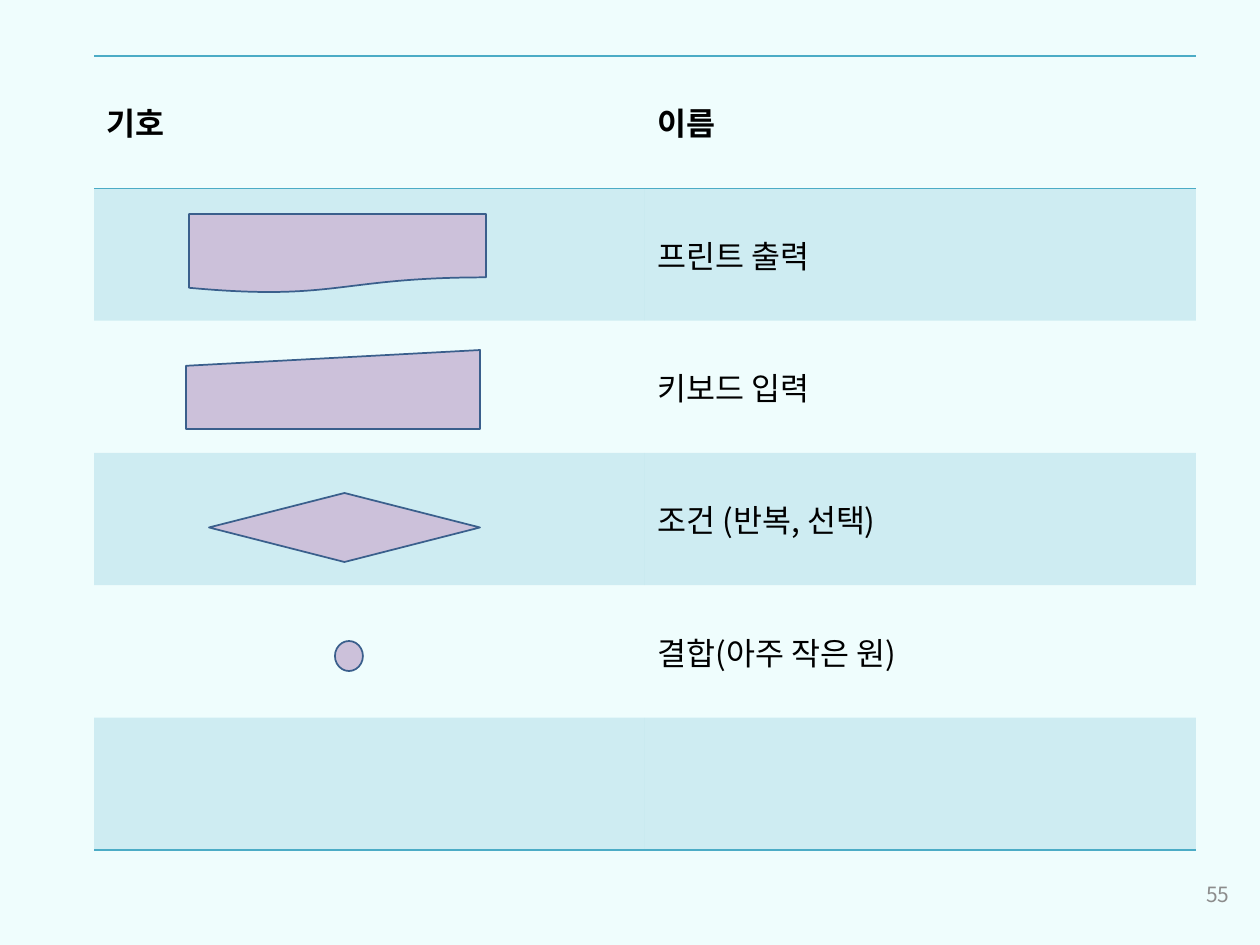
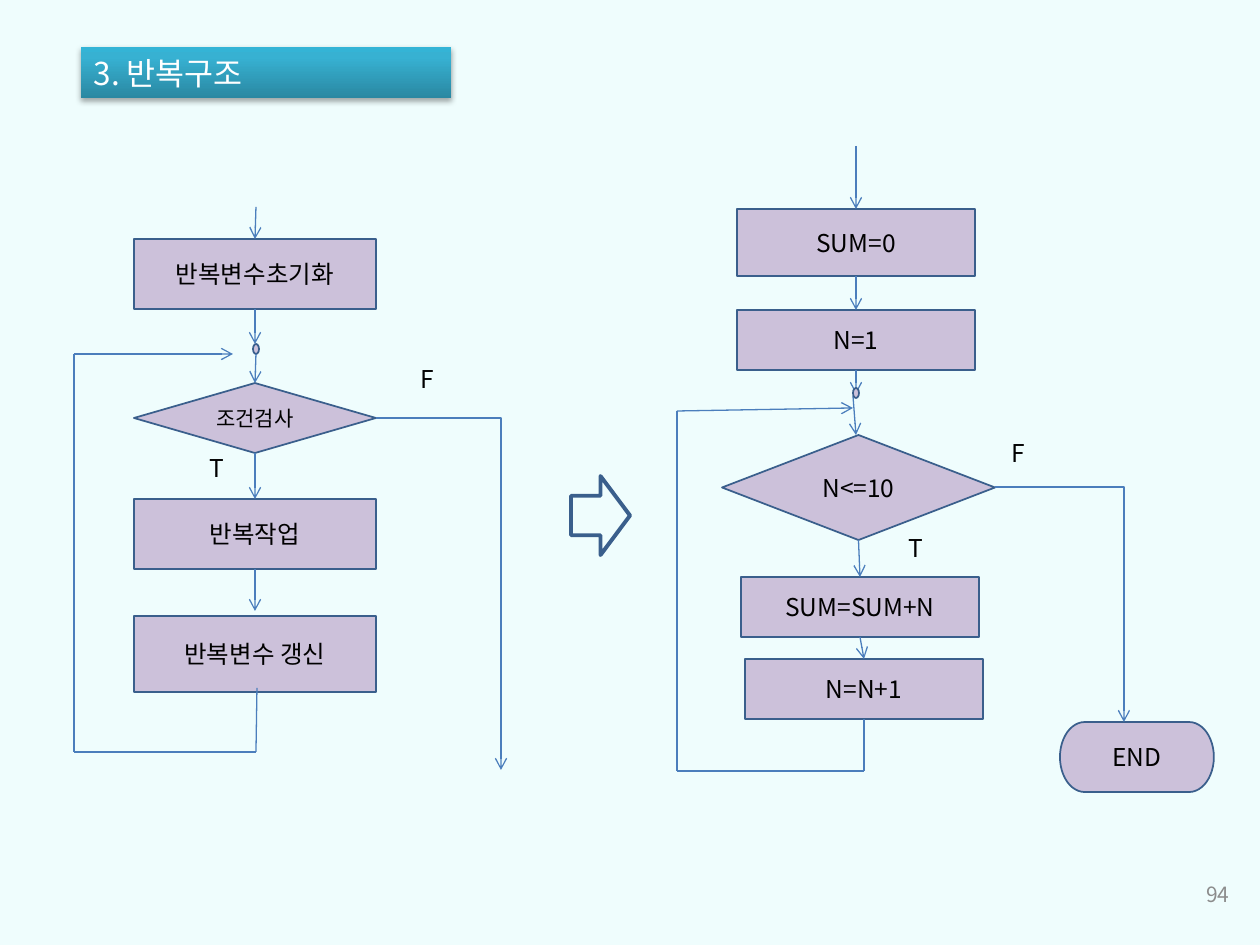
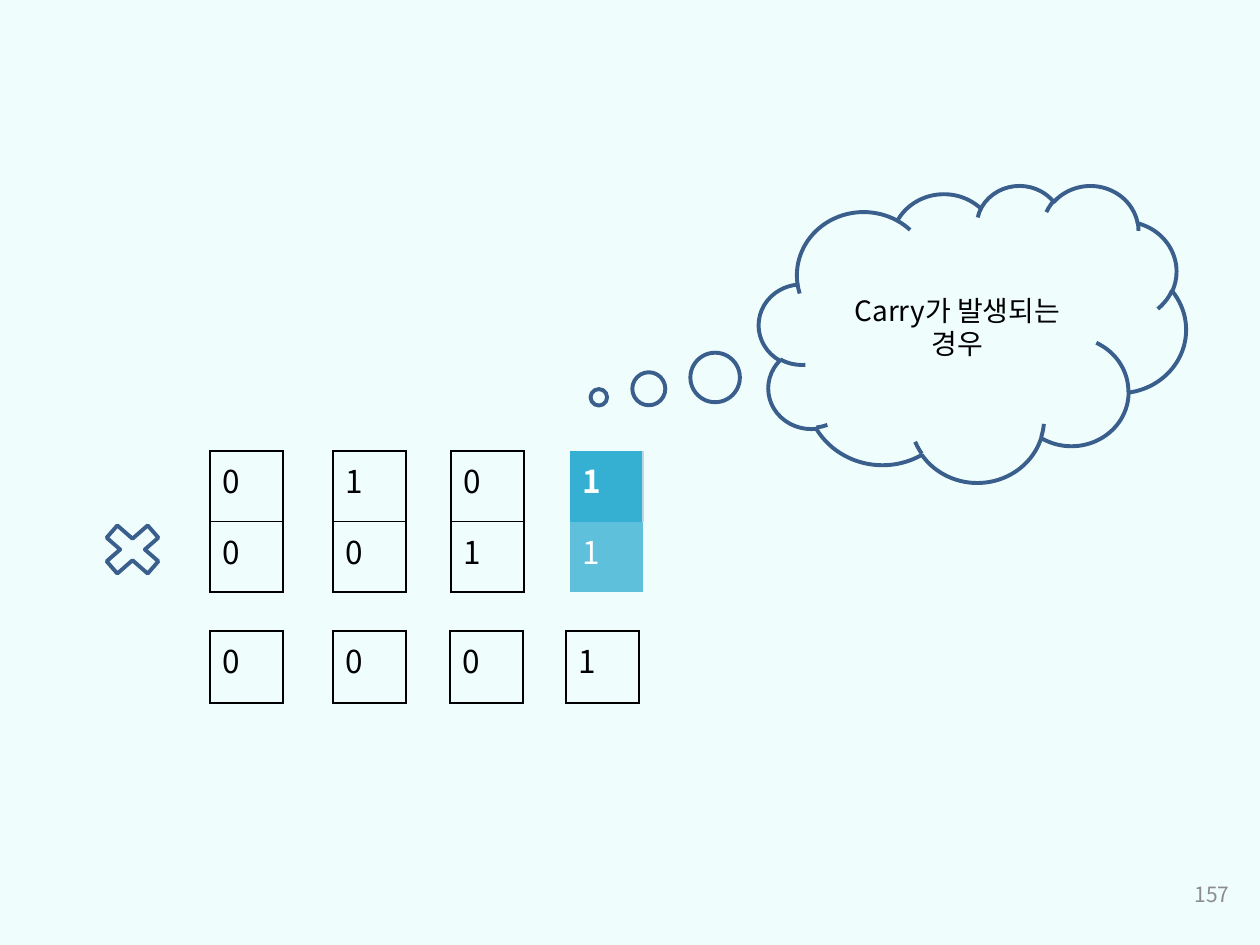
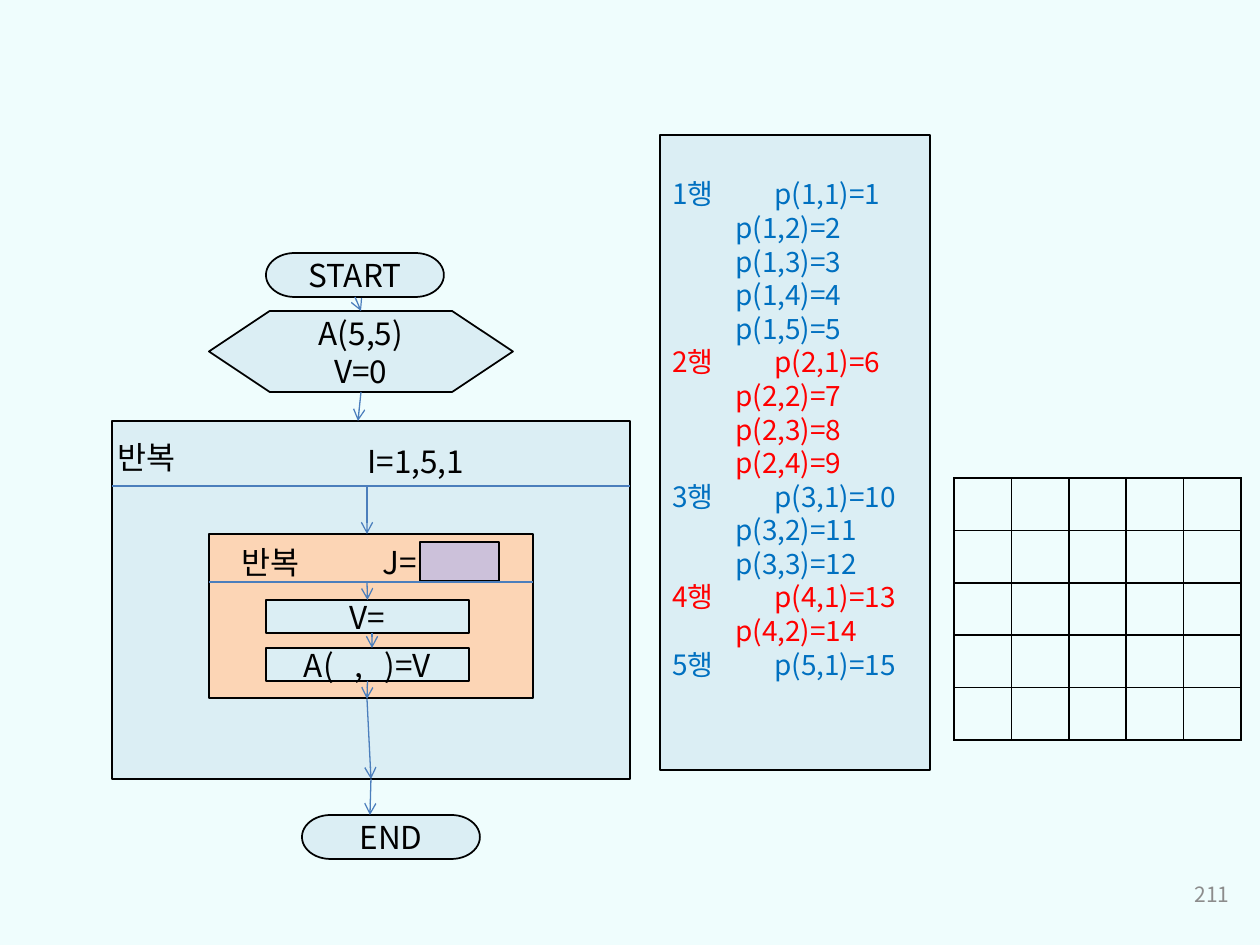
from dataclasses import dataclass, field

from lxml import etree
from pptx import Presentation
from pptx.dml.color import RGBColor
from pptx.enum.shapes import MSO_CONNECTOR, MSO_SHAPE
from pptx.enum.text import MSO_ANCHOR, MSO_AUTO_SIZE, PP_ALIGN
from pptx.oxml import parse_xml
from pptx.oxml.ns import nsdecls, qn
from pptx.util import Pt

STRAIGHT, ELBOW = MSO_CONNECTOR.STRAIGHT, MSO_CONNECTOR.ELBOW
RECT, PROCESS = MSO_SHAPE.RECTANGLE, MSO_SHAPE.FLOWCHART_PROCESS
DECISION, JOINT = MSO_SHAPE.FLOWCHART_DECISION, MSO_SHAPE.FLOWCHART_CONNECTOR
TERMINATOR = MSO_SHAPE.FLOWCHART_TERMINATOR
PREPARATION = MSO_SHAPE.FLOWCHART_PREPARATION
DOCUMENT = MSO_SHAPE.FLOWCHART_DOCUMENT
MANUAL_INPUT = MSO_SHAPE.FLOWCHART_MANUAL_INPUT
CLOUD, TIMES = MSO_SHAPE.CLOUD_CALLOUT, MSO_SHAPE.MATH_MULTIPLY
RIGHT_ARROW = MSO_SHAPE.RIGHT_ARROW
LEFT, CENTER, RIGHT = PP_ALIGN.LEFT, PP_ALIGN.CENTER, PP_ALIGN.RIGHT
TOP_ANCHOR, MIDDLE = MSO_ANCHOR.TOP, MSO_ANCHOR.MIDDLE
FIXED_SIZE = MSO_AUTO_SIZE.NONE
TOP, BOTTOM = 0, 2
TITLE_ONLY, BLANK = 5, 6
PLAIN_TABLE = "{2D5ABB26-0587-4C30-8999-92F81FD0307C}"


@dataclass(frozen=True)
class Theme:
    font: str = "Noto Sans CJK KR"
    background: str = "E3FDFD"
    background_alpha: int = 57
    ink: str = "000000"
    white: str = "FFFFFF"
    number: str = "8C8C8C"
    lilac: str = "CCC1DA"
    outline: str = "3A5F8C"
    flow: str = "4B7EBC"
    teal: str = "4BACC6"
    band_alpha: int = 20
    sky: str = "DBEEF4"
    peach: str = "FCD5B5"
    blue: str = "0070C0"
    red: str = "FF0000"
    carry: str = "36B0D2"
    carry_light: str = "5FC0DB"
    carry_edge: str = "BCD7E1"
    title_stops: tuple = ((0, "2A88A2"), (80, "37B1D2"), (100, "34B4D6"))
    large: int = 18
    medium: int = 16
    normal: int = 14
    small: int = 12
    line_height: float = 1.2
    thin: float = 0.75
    regular: float = 1
    thick: float = 2.25


THEME = Theme()


def px(length):
    return round(length * 914400 / 126)


def rgb(color):
    return RGBColor.from_string(color)


def fade(parent, percent):
    """Make the solid fill held by an element partly transparent."""
    color = parent.find(qn("a:solidFill") + "/" + qn("a:srgbClr"))
    etree.SubElement(color, qn("a:alpha"), val=str(percent * 1000))


# ---- text ----
def add_span(para, text, size, color=THEME.ink, bold=False, spacing=0):
    span = para.add_run()
    span.text = text
    span.font.size = Pt(size)
    span.font.bold = bold
    span.font.color.rgb = rgb(color)
    span.font.name = THEME.font
    props = span.font._element
    etree.SubElement(props, qn("a:ea"), typeface=THEME.font)
    if spacing:
        props.set("spc", str(spacing * 100))


def paragraphs(frame, count):
    """Return the first paragraph and as many new ones as needed."""
    return [frame.paragraphs[0]] + [frame.add_paragraph() for _ in range(count - 1)]


def write_text(frame, lines, size, color=THEME.ink, align=LEFT, bold=False):
    frame.word_wrap = True
    for para, line in zip(paragraphs(frame, len(lines)), lines):
        para.alignment = align
        if len(lines) > 1:
            para.line_spacing = Pt(size * THEME.line_height)
        add_span(para, line, size, color, bold)


# ---- tables ----
def style_cell(cell, fill=None, alpha=None, sides="", edge=THEME.ink,
               width=THEME.regular):
    props = cell._tc.get_or_add_tcPr()
    for side in sides:
        line = etree.SubElement(props, qn(f"a:ln{side}"), w=str(Pt(width)))
        paint = etree.SubElement(line, qn("a:solidFill"))
        etree.SubElement(paint, qn("a:srgbClr"), val=edge)
    if fill is None:
        cell.fill.background()
        return
    cell.fill.solid()
    cell.fill.fore_color.rgb = rgb(fill)
    if alpha:
        fade(props, alpha)


@dataclass
class Region:
    """Part of a page whose children are placed relative to its corner."""
    page: object
    left: int
    top: int
    nodes: dict = field(default_factory=dict)

    def spot(self, x, y):
        return px(self.left + x), px(self.top + y)

    def shape(self, kind, box, lines=(), size=THEME.normal, fill=THEME.lilac,
              edge=THEME.outline, width=THEME.regular):
        x, y, w, h = box
        shape = self.page.shapes.add_shape(kind, *self.spot(x, y), px(w), px(h))
        shape.shadow.inherit = False
        if fill:
            shape.fill.solid()
            shape.fill.fore_color.rgb = rgb(fill)
        else:
            shape.fill.background()
        shape.line.color.rgb = rgb(edge)
        shape.line.width = Pt(width)
        if lines:
            shape.text_frame.vertical_anchor = MIDDLE
            write_text(shape.text_frame, lines, size, align=CENTER)
        return shape

    def node(self, name, *args, **options):
        self.nodes[name] = self.shape(*args, **options)

    def text(self, box, text, size=THEME.normal, color=THEME.ink, align=LEFT,
             anchor=TOP_ANCHOR):
        x, y, w, h = box
        label = self.page.shapes.add_textbox(*self.spot(x, y), px(w), px(h))
        label.text_frame.vertical_anchor = anchor
        write_text(label.text_frame, [text], size, color, align)

    def line(self, start, end, arrow=True, kind=STRAIGHT):
        """Ends are (x, y) points or (node name, side) pairs."""
        ends = [(0, 0) if isinstance(p[0], str) else p for p in (start, end)]
        line = self.page.shapes.add_connector(
            kind, *self.spot(*ends[0]), *self.spot(*ends[1]))
        line.line.color.rgb = rgb(THEME.flow)
        line.line.width = Pt(THEME.thin)
        props = line._element.spPr
        if arrow:
            etree.SubElement(props.find(qn("a:ln")), qn("a:tailEnd"), type="arrow")
        etree.SubElement(props, qn("a:effectLst"))
        if kind == ELBOW:
            props.find(qn("a:prstGeom")).set("prst", "bentConnector2")
        for join, point in ((line.begin_connect, start), (line.end_connect, end)):
            if isinstance(point[0], str):
                join(self.nodes[point[0]], point[1])

    def route(self, *points):
        """Draw a chain of lines with an arrowhead on the last."""
        for i, (start, end) in enumerate(zip(points, points[1:]), 2):
            self.line(start, end, arrow=i == len(points))

    def table(self, rows, columns, box):
        x, y, w, h = box
        frame = self.page.shapes.add_table(
            rows, columns, *self.spot(x, y), px(w), px(h))
        table = frame.table
        table.first_row = table.horz_banding = False
        table._tbl.tblPr.find(qn("a:tableStyleId")).text = PLAIN_TABLE
        return table


# ---- shared page parts ----
def add_page(deck, number, layout=BLANK):
    page = deck.slides.add_slide(deck.slide_layouts[layout])
    Region(page, 948, 869).text((0, 0, 294, 50), str(number), THEME.small,
                                THEME.number, RIGHT, MIDDLE)
    return page


def set_title(page, text):
    title = page.shapes.title
    title.left, title.top, title.width, title.height = map(px, (81, 47, 370, 51))
    stops = "".join(f'<a:gs pos="{at * 1000}"><a:srgbClr val="{color}"/></a:gs>'
                    for at, color in THEME.title_stops)
    props = title._element.spPr
    props.append(parse_xml(
        f'<a:gradFill {nsdecls("a")} rotWithShape="1"><a:gsLst>{stops}</a:gsLst>'
        '<a:lin ang="16200000" scaled="0"/></a:gradFill>'))
    props.append(parse_xml(
        f'<a:effectLst {nsdecls("a")}><a:outerShdw blurRad="40000" dist="23000" '
        f'dir="5400000" rotWithShape="0"><a:srgbClr val="{THEME.ink}">'
        '<a:alpha val="35000"/></a:srgbClr></a:outerShdw></a:effectLst>'))
    frame = title.text_frame
    frame.auto_size = FIXED_SIZE
    frame.vertical_anchor = MIDDLE
    write_text(frame, [text], THEME.large, THEME.white)


# ---- flowchart symbols ----
def symbol_table(page, left, top):
    region = Region(page, left, top)
    rows = [("기호", "이름"), ("", "프린트 출력"), ("", "키보드 입력"),
            ("", "조건 (반복, 선택)"), ("", "결합(아주 작은 원)"), ("", "")]
    table = region.table(len(rows), 2, (0, 0, 1102, 794))
    for r, row in enumerate(rows):
        sides = "TB" if r == 0 else "B" if r == len(rows) - 1 else ""
        for c, text in enumerate(row):
            cell = table.cell(r, c)
            cell.vertical_anchor = MIDDLE
            style_cell(cell, THEME.teal if r % 2 else None, THEME.band_alpha,
                       sides, THEME.teal)
            if text:
                write_text(cell.text_frame, [text], THEME.large, bold=r == 0)
    for kind, box in ((DOCUMENT, (95, 158, 297, 79)),
                      (MANUAL_INPUT, (92, 294, 294, 79)),
                      (DECISION, (115, 437, 271, 69)),
                      (JOINT, (241, 585, 28, 30))):
        region.shape(kind, box)


# ---- loop structure ----
def loop_pattern(page, left, top):
    flow = Region(page, left, top)
    for name, kind, y, height, text, size in (
            ("init", PROCESS, 32, 70, "반복변수초기화", THEME.normal),
            ("test", DECISION, 176, 70, "조건검사", THEME.small),
            ("work", PROCESS, 292, 70, "반복작업", THEME.normal),
            ("update", PROCESS, 409, 76, "반복변수 갱신", THEME.normal)):
        flow.node(name, kind, (64, y, 242, height), [text], size)
    flow.shape(JOINT, (183, 137, 6, 10))
    for start, end in (((186, 0), ("init", TOP)),
                       (("init", BOTTOM), (185, 137)),
                       ((186, 147), ("test", TOP)),
                       (("test", BOTTOM), ("work", TOP)),
                       (("work", BOTTOM), (185, 404))):
        flow.line(start, end)
    flow.route((187, 481), (186, 545), (4, 545), (4, 147), (163, 147))
    flow.line((306, 211), (431, 563), kind=ELBOW)
    flow.text((127, 240, 59, 43), "T")
    flow.text((338, 151, 59, 43), "F")


def loop_example(page, left, top):
    flow = Region(page, left, top)
    for name, kind, box, text in (
            ("sum", RECT, (60, 63, 238, 67), "SUM=0"),
            ("first", RECT, (60, 164, 238, 60), "N=1"),
            ("test", DECISION, (45, 289, 273, 105), "N<=10"),
            ("add", RECT, (64, 431, 238, 60), "SUM=SUM+N"),
            ("next", RECT, (68, 513, 238, 60), "N=N+1"),
            ("end", TERMINATOR, (383, 576, 154, 70), "END")):
        flow.node(name, kind, box, [text])
    for start, end in (((179, 0), ("sum", TOP)),
                       (("sum", BOTTOM), ("first", TOP)),
                       (("first", BOTTOM), (179, 248)),
                       ((176, 250), (179, 289)),
                       (("test", BOTTOM), ("add", TOP)),
                       (("add", BOTTOM), ("next", TOP))):
        flow.line(start, end)
    flow.shape(JOINT, (176, 242, 6, 10))
    flow.route(("next", BOTTOM), (187, 625), (0, 625), (0, 265), (176, 262))
    flow.line((318, 341), (447, 576), kind=ELBOW)
    flow.text((219, 381, 59, 43), "T")
    flow.text((322, 286, 59, 43), "F")


# ---- binary product ----
def digit_column(region, x, y, digits, height, carry=False):
    table = region.table(len(digits), 1, (x, y, 73, height))
    for r, digit in enumerate(digits):
        cell = table.cell(r, 0)
        if carry:
            style_cell(cell, THEME.carry_light if r else THEME.carry,
                       sides="" if r else "R", edge=THEME.carry_edge,
                       width=THEME.thin)
        else:
            style_cell(cell, sides="LRTB")
        write_text(cell.text_frame, [digit], THEME.large,
                   THEME.white if carry else THEME.ink, bold=carry and r == 0)


def binary_product(page, left, top):
    region = Region(page, left, top)
    for x, digits in ((0, "00"), (123, "10"), (241, "01"), (360, "11")):
        digit_column(region, x, 0, digits, 141, carry=digits == "11")
    for x, digit in ((0, "0"), (123, "0"), (240, "0"), (356, "1")):
        digit_column(region, x, 180, digit, 72)
    region.shape(TIMES, (-117, 64, 79, 69), fill=None, width=THEME.thick)


def carry_cloud(page, left, top):
    cloud = Region(page, left, top).shape(
        CLOUD, (0, 0, 427, 297), ["Carry가 발생되는", "경우"], THEME.medium,
        fill=None, width=THEME.thick)
    cloud.adjustments[0] = -0.875
    cloud.adjustments[1] = 0.215


# ---- triangular fill of an array ----
def nested_loop(page, left, top):
    flow = Region(page, left, top)
    for name, kind, box, lines, fill in (
            ("outer", RECT, (0, 168, 518, 358), [], THEME.sky),
            ("start", TERMINATOR, (154, 0, 178, 44), ["START"], THEME.sky),
            ("prepare", PREPARATION, (97, 58, 304, 81), ["A(5,5)", "V=0"], THEME.sky),
            ("end", TERMINATOR, (190, 562, 178, 44), ["END"], THEME.sky),
            ("inner", RECT, (97, 281, 324, 164), [], THEME.peach),
            ("value", RECT, (154, 347, 203, 33), ["V="], THEME.sky),
            ("store", RECT, (154, 395, 203, 33), [], THEME.sky),
            ("blank", RECT, (308, 289, 79, 39), [], THEME.lilac)):
        flow.node(name, kind, box, lines, THEME.large, fill, THEME.ink)

    # The array index is left open by widened spaces
    store = flow.nodes["store"].text_frame
    store.vertical_anchor = MIDDLE
    para = store.paragraphs[0]
    para.alignment = CENTER
    for text, spacing in (("A(", 0), (" ", 8), (",", 0), (" ", 8), (")=V", 0)):
        add_span(para, text, THEME.large, spacing=spacing)

    for x, y, width, text in ((-7, 179, 126, "반복"), (243, 183, 251, "I=1,5,1"),
                              (117, 284, 126, "반복"), (258, 284, 251, "J=")):
        flow.text((x, y, width, 55), text, THEME.large)
    flow.line((0, 233), (518, 233), arrow=False)
    flow.line((97, 329), (421, 329), arrow=False)
    for start, end in ((("start", BOTTOM), ("prepare", TOP)),
                       (("prepare", BOTTOM), (246, 168)),
                       ((255, 233), (255, 281)),
                       ((255, 329), ("value", TOP)),
                       ((260, 380), (260, 395)),
                       (("store", BOTTOM), (255, 446)),
                       ((255, 446), ("outer", BOTTOM)),
                       (("outer", BOTTOM), (258, 562))):
        flow.line(start, end)


def row_listing(page, left, top, size=5):
    panel = Region(page, left, top).shape(
        RECT, (0, 0, 270, 635), fill=THEME.sky, edge=THEME.ink)
    frame = panel.text_frame
    frame.word_wrap = True
    frame.vertical_anchor = TOP_ANCHOR
    frame.margin_top = px(42)
    cells = [(row, column) for row in range(1, size + 1)
             for column in range(1, size + 2 - row)]
    paras = paragraphs(frame, len(cells))
    for value, (para, (row, column)) in enumerate(zip(paras, cells), 1):
        props = para._p.get_or_add_pPr()
        text = f"p({row},{column})={value}"
        if column == 1:
            tabs = etree.SubElement(props, qn("a:tabLst"))
            etree.SubElement(tabs, qn("a:tab"), pos=str(px(102)), algn="l")
            text = f"{row}행\t{text}"
        else:
            props.set("marL", str(px(63)))
            props.set("indent", "0")
        para.alignment = LEFT
        para.line_spacing = Pt(THEME.medium * THEME.line_height)
        add_span(para, text, THEME.medium, THEME.blue if row % 2 else THEME.red)


def empty_grid(page, left, top, size=5):
    table = Region(page, left, top).table(size, size, (0, 0, 287, 262))
    for cell in table.iter_cells():
        cell.margin_top = cell.margin_bottom = 0
        style_cell(cell, sides="LRTB")


def main():
    deck = Presentation()
    deck.slide_width, deck.slide_height = px(1260), px(945)
    master = deck.slide_master
    master.background.fill.solid()
    master.background.fill.fore_color.rgb = rgb(THEME.background)
    fade(master._element.find(".//" + qn("p:bgPr")), THEME.background_alpha)

    symbol_table(add_page(deck, 55), 94, 56)

    page = add_page(deck, 94, TITLE_ONLY)
    set_title(page, "3. 반복구조")
    loop_pattern(page, 70, 207)
    loop_example(page, 677, 146)
    Region(page, 571, 476).shape(RIGHT_ARROW, (0, 0, 59, 79), fill=None,
                                 width=THEME.thick)

    page = add_page(deck, 157)
    binary_product(page, 210, 451)
    carry_cloud(page, 759, 185)

    page = add_page(deck, 211)
    nested_loop(page, 112, 253)
    row_listing(page, 660, 135)
    empty_grid(page, 954, 478)

    deck.save("out.pptx")


if __name__ == "__main__":
    main()
